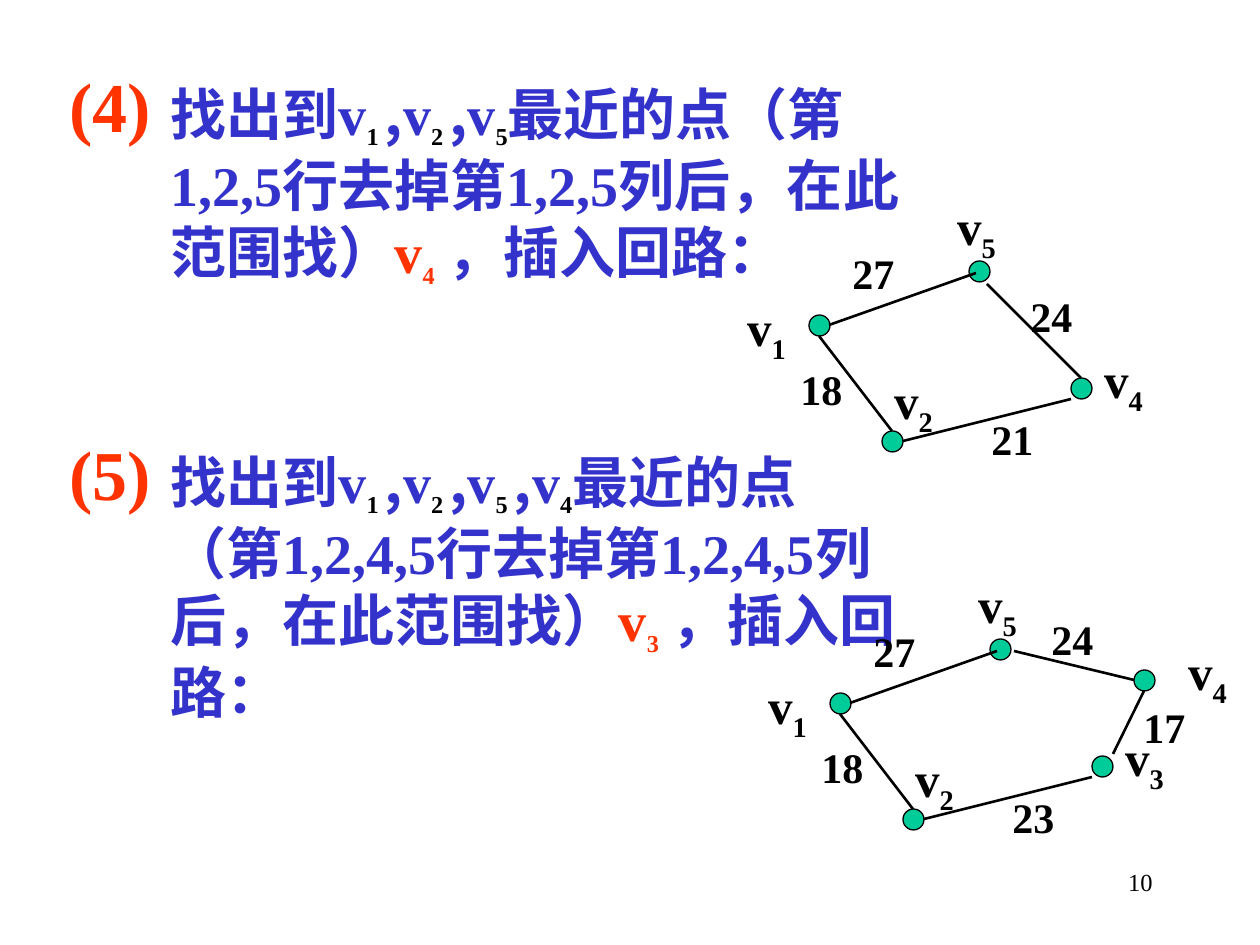
from lxml import etree
from pptx import Presentation
from pptx import util as u
from pptx.dml.color import RGBColor
from pptx.enum import shapes, text
from pptx.oxml.ns import qn

LATIN, CJK = "Times New Roman", "Noto Sans CJK SC"
BLACK, BLUE, RED, GREEN = "000000", "3333CC", "FF3300", "00CC99"
STYLES = {
    "cjk": (32, CJK, BLUE),
    "latin": (32, LATIN, BLUE),
    "sub": (24, LATIN, BLACK),
    "red": (32, LATIN, RED),
    "redsub": (24, LATIN, RED),
}


def px(n):
    """Turn slide pixels into EMU."""
    return u.Emu(round(n * 914400 / 126))


def colour(value):
    """Turn a hex string into a colour."""
    return RGBColor.from_string(value)


def add_run(p, words, size, name=LATIN, value=BLACK, bold=True, sub=False):
    """Add one formatted run to a paragraph."""
    r = p.add_run()
    r.text = words
    f = r.font
    f.size, f.name, f.bold = u.Pt(size), name, bold
    f.color.rgb = colour(value)
    etree.SubElement(r._r.rPr, qn("a:ea")).set("typeface", name)
    if sub:
        r._r.rPr.set("baseline", "-25000")


def add_ellipse(s, x, y, w, h):
    """Add an ellipse without shadow, fill or line."""
    sp = s.shapes.add_shape(shapes.MSO_SHAPE.OVAL, px(x), px(y), px(w), px(h))
    sp.shadow.inherit = False
    sp.fill.background()
    sp.line.fill.background()
    return sp


def add_caption(s, x, y, w, h):
    """Add an invisible ellipse for centred text and return its paragraph."""
    tf = add_ellipse(s, x, y, w, h).text_frame
    tf.word_wrap = False
    tf.vertical_anchor = text.MSO_ANCHOR.MIDDLE
    p = tf.paragraphs[0]
    p.alignment = text.PP_ALIGN.CENTER
    return p


def add_text(s, x, y, w, h):
    """Add a wrapping text box and return its paragraph."""
    tf = s.shapes.add_textbox(px(x), px(y), px(w), px(h)).text_frame
    tf.word_wrap = True
    return tf.paragraphs[0]


def add_node(s, x, y):
    """Add a graph node."""
    sp = add_ellipse(s, x, y, 21, 21)
    sp.fill.solid()
    sp.fill.fore_color.rgb = colour(GREEN)
    sp.line.color.rgb = colour(BLACK)
    sp.line.width = u.Pt(0.75)


def add_edge(s, x1, y1, x2, y2):
    """Add a graph edge."""
    c = s.shapes.add_connector(
        shapes.MSO_CONNECTOR.STRAIGHT, px(x1), px(y1), px(x2), px(y2))
    c.line.color.rgb = colour(BLACK)
    c.line.width = u.Pt(1.5)
    etree.SubElement(c._element.spPr, qn("a:effectLst"))


def add_vertex_name(s, index, x, y, h=53):
    """Add a vertex name with its subscript."""
    p = add_caption(s, x, y, 63, h)
    add_run(p, "v", 28)
    add_run(p, index, 28, sub=True)


def add_weight(s, weight, x, y):
    """Add the weight of an edge."""
    add_run(add_text(s, x, y, 84, 63), weight, 24)


def add_step(s, number, y, h, visited, rows, found):
    """Add a numbered step that finds the nearest point."""
    add_run(add_caption(s, 73, y, 74, 84), f"({number})", 40, value=RED)
    parts = [("找出到", "cjk")]
    for i, v in enumerate(visited):
        last = i == len(visited) - 1
        parts += [("v", "latin"), (v if last else v + " ", "sub")]
        if not last:
            parts.append((",", "cjk"))
    parts += [("最近的点（第", "cjk"), (rows, "latin"), ("行去掉第", "cjk"),
              (rows, "latin"), ("列后，在此范围找）", "cjk"), ("v", "red"),
              (found, "redsub"), (" ，插入回路：", "cjk")]
    p = add_text(s, 158, y + 10, 756, h)
    for words, style in parts:
        add_run(p, words, *STYLES[style], sub=style.endswith("sub"))


def add_path(s, dx, dy, last, weight):
    """Add the path v5, v1, v2 and a last vertex, moved by dx and dy."""
    for x, y in ((969, 261), (1071, 378), (882, 431), (809, 315)):
        add_node(s, x + dx, y + dy)
    for x1, y1, x2, y2 in ((829, 325, 976, 273), (903, 441, 1071, 399),
                           (819, 336, 892, 431)):
        add_edge(s, x1 + dx, y1 + dy, x2 + dx, y2 + dy)
    for index, x, y, h in (("2", 882, 378, 53), ("1", 735, 305, 53),
                           ("5", 945, 199, 63), (last, 1092, 357, 53)):
        add_vertex_name(s, index, x + dx, y + dy, h)
    for label, x, y in (("18", 788, 357), ("27", 840, 241), (weight, 979, 407)):
        add_weight(s, label, x + dx, y + dy)


def main():
    """Build the slide."""
    prs = Presentation()
    prs.slide_width, prs.slide_height = u.Inches(10), u.Inches(7.5)
    s = prs.slides.add_slide(prs.slide_layouts[6])

    add_step(s, 4, 63, 223, "125", "1,2,5", "4")
    add_path(s, 0, 0, "4", "21")
    add_edge(s, 987, 284, 1081, 378)
    add_weight(s, "24", 1018, 284)

    add_step(s, 5, 431, 290, "1254", "1,2,4,5", "3")
    add_path(s, 21, 378, "3", "23")
    add_node(s, 1134, 670)
    add_vertex_name(s, "4", 1176, 649)
    add_edge(s, 1014, 651, 1134, 680)
    add_edge(s, 1113, 754, 1144, 691)
    add_weight(s, "24", 1039, 607)
    add_weight(s, "17", 1131, 695)

    p = add_text(s, 903, 861, 262, 63)
    p.alignment = text.PP_ALIGN.RIGHT
    add_run(p, "10", 14, bold=False)
    prs.save("out.pptx")


if __name__ == "__main__":
    main()
